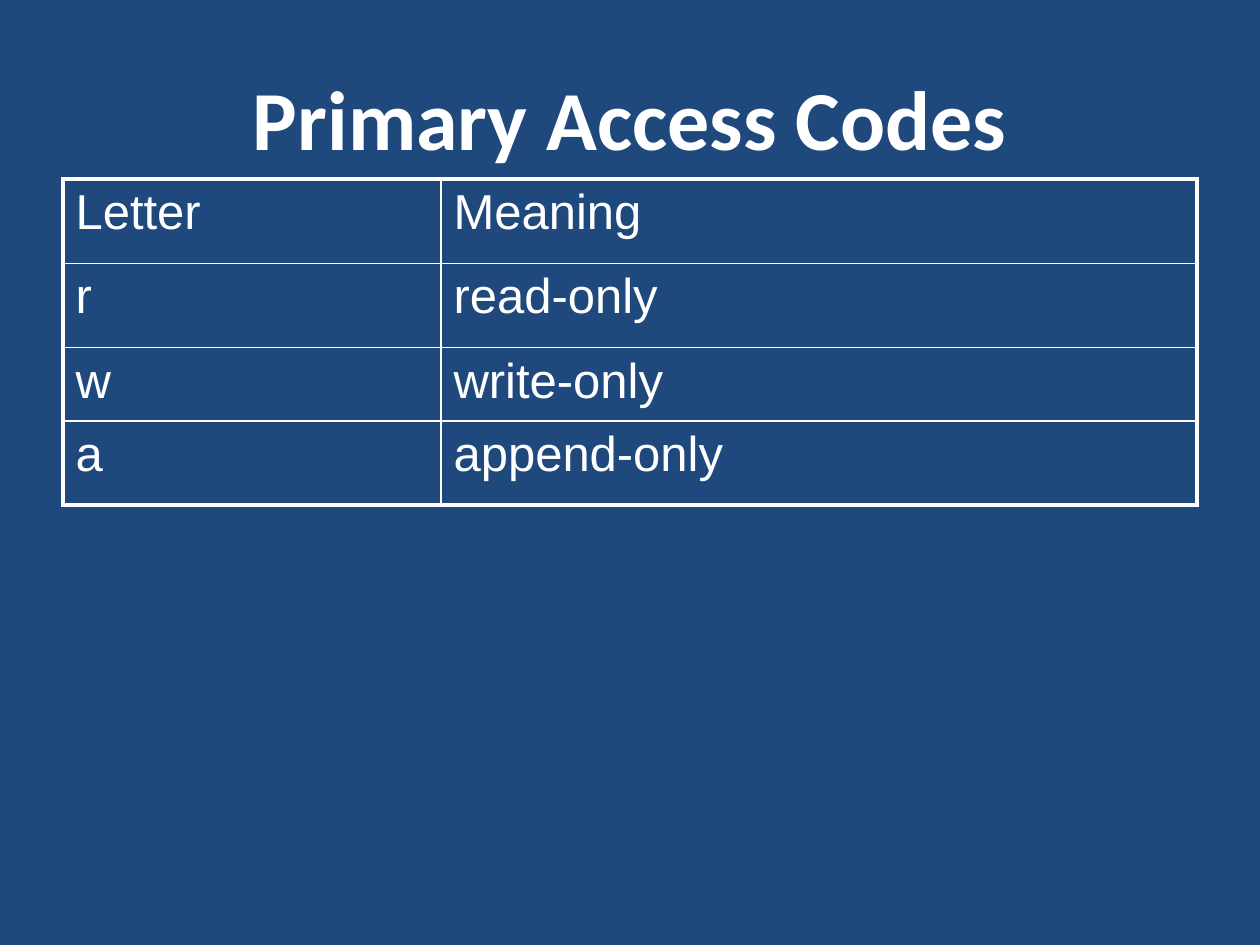
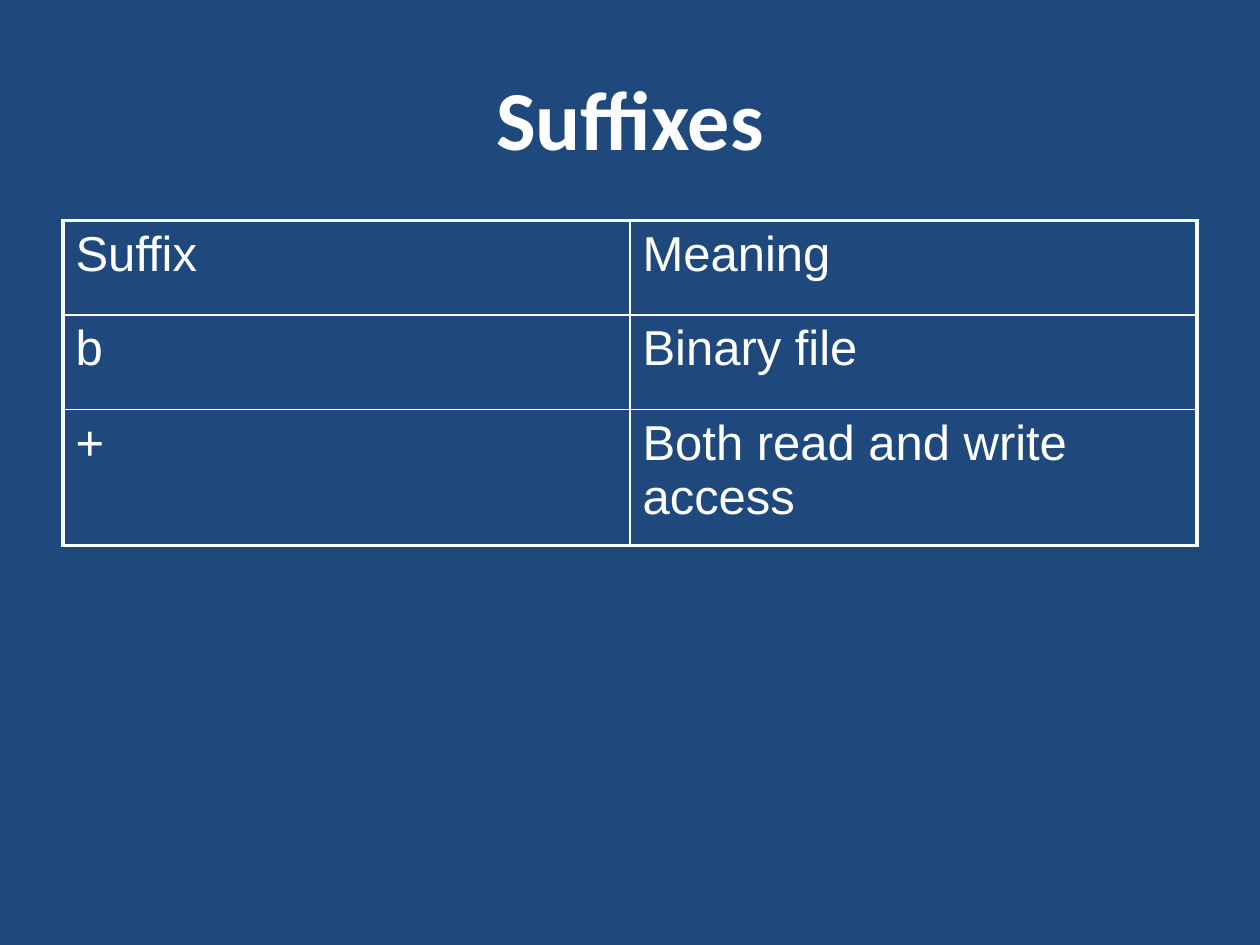
from lxml import etree
from pptx import Presentation
from pptx.dml.color import RGBColor
from pptx.enum import text
from pptx.oxml import ns
from pptx.util import Inches, Pt

COLORS = {"background": "1F497D", "ink": "FFFFFF"}
INK = RGBColor.from_string(COLORS["ink"])
OUTER, INNER = Pt(2.25), Pt(1)

TABLES = [
    {
        "title": "Primary Access Codes",
        "top": 1.42,
        "columns": [3, 6],
        "heights": [0.67, 0.67, 0.58, 0.67],
        "rows": [("Letter", "Meaning"), ("r", "read-only"),
                 ("w", "write-only"), ("a", "append-only")],
    },
    {
        "title": "Suffixes",
        "top": 1.75,
        "columns": [4.5, 4.5],
        "heights": [0.75, 0.75, 1.08],
        "rows": [("Suffix", "Meaning"), ("b", "Binary file"),
                 ("+", "Both read and write access")],
    },
]


def add_span(para, words, font, size, bold):
    span = para.add_run()
    span.text = words
    span.font.name = font
    span.font.size = Pt(size)
    span.font.bold = bold
    span.font.color.rgb = INK


def add_border(cell, side, width):
    line = etree.SubElement(cell._tc.get_or_add_tcPr(), ns.qn(f"a:ln{side}"), w=str(width))
    fill = etree.SubElement(line, ns.qn("a:solidFill"))
    etree.SubElement(fill, ns.qn("a:srgbClr"), val=COLORS["ink"])


deck = Presentation()
deck.slide_width, deck.slide_height = Inches(10), Inches(7.5)

for content in TABLES:
    # Background
    page = deck.slides.add_slide(deck.slide_layouts[6])
    page.background.fill.solid()
    page.background.fill.fore_color.rgb = RGBColor.from_string(COLORS["background"])

    # Title
    box = page.shapes.add_textbox(Inches(0.5), Inches(0.3), Inches(9), Inches(1.25))
    frame = box.text_frame
    frame.word_wrap = True
    frame.vertical_anchor = text.MSO_ANCHOR.MIDDLE
    frame.paragraphs[0].alignment = text.PP_ALIGN.CENTER
    add_span(frame.paragraphs[0], content["title"], "Calibri", 48, True)

    # Table grid
    rows, columns, heights = content["rows"], content["columns"], content["heights"]
    table = page.shapes.add_table(
        len(rows), len(columns), Inches(0.5), Inches(content["top"]),
        Inches(sum(columns)), Inches(sum(heights))).table
    table.first_row = table.horz_banding = False
    for column, width in zip(table.columns, columns):
        column.width = Inches(width)
    for row, height in zip(table.rows, heights):
        row.height = Inches(height)

    # Cells, with a heavier line around the outside of the table
    last_row, last_column = len(rows) - 1, len(columns) - 1
    for r, row in enumerate(rows):
        for c, words in enumerate(row):
            cell = table.cell(r, c)
            add_span(cell.text_frame.paragraphs[0], words, "Arial", 28, False)
            outside = {"L": c == 0, "R": c == last_column, "T": r == 0, "B": r == last_row}
            for side, is_outer in outside.items():
                add_border(cell, side, OUTER if is_outer else INNER)
            cell.fill.background()

deck.save("out.pptx")
